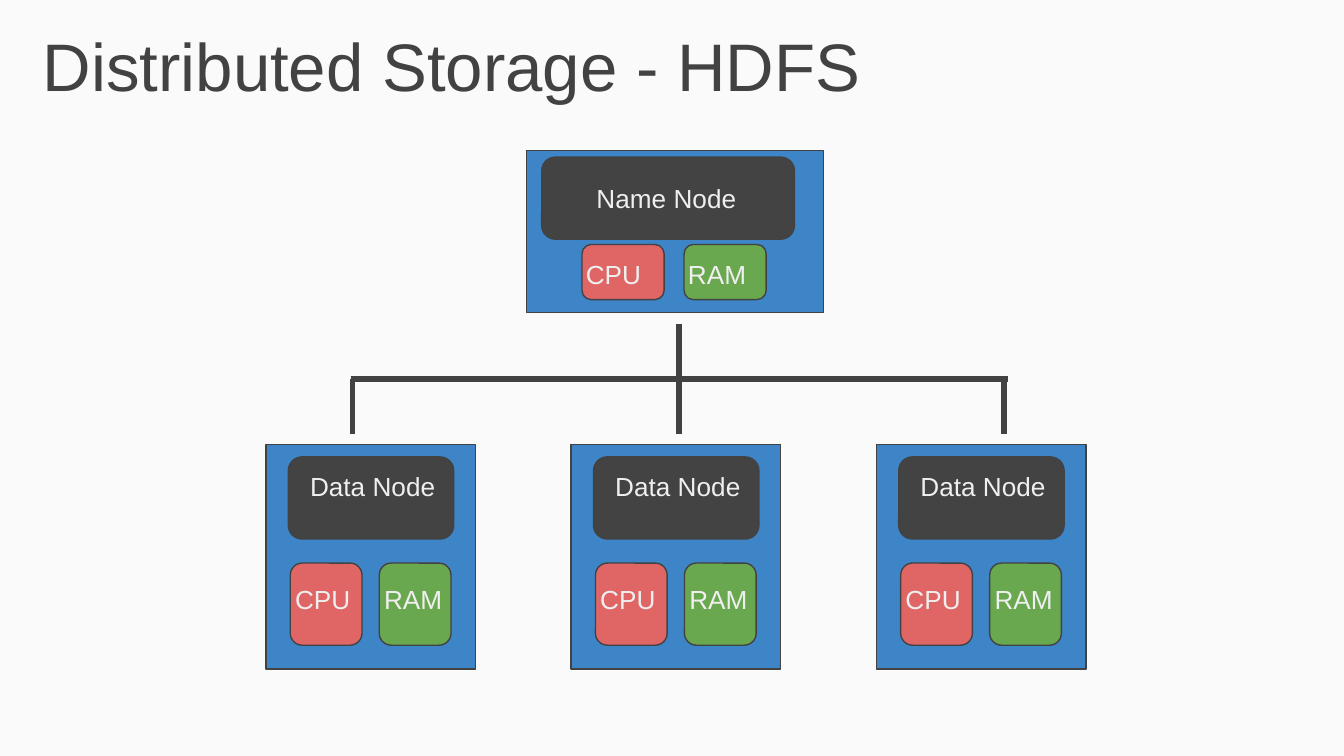
from pptx import Presentation
from pptx.dml.color import RGBColor
from pptx.enum.shapes import MSO_CONNECTOR, MSO_SHAPE
from pptx.oxml.ns import qn
from pptx.util import Pt
from lxml.etree import SubElement

PAPER = RGBColor(0xFA, 0xFA, 0xFA)
INK = RGBColor(0x42, 0x42, 0x42)
DARK = RGBColor(0x43, 0x43, 0x43)
PALE = RGBColor(0xEF, 0xEF, 0xEF)
BLUE = RGBColor(0x3D, 0x85, 0xC6)
RED = RGBColor(0xE0, 0x66, 0x66)
GREEN = RGBColor(0x6A, 0xA8, 0x4F)
RECT, ROUND = MSO_SHAPE.RECTANGLE, MSO_SHAPE.ROUNDED_RECTANGLE

deck = Presentation()
deck.slide_width, deck.slide_height = Pt(720), Pt(405)
slide = deck.slides.add_slide(deck.slide_layouts[6])
slide.background.fill.solid()
slide.background.fill.fore_color.rgb = PAPER
shapes = slide.shapes


def add_box(kind, x, y, w, h, color):
    box = shapes.add_shape(kind, Pt(x), Pt(y), Pt(w), Pt(h))
    box.shadow.inherit = False
    box.fill.solid()
    box.fill.fore_color.rgb = color
    box.line.color.rgb = INK
    box.line.width = Pt(0.75)


def add_text(text, x, y, w, h, size=14, color=PALE):
    frame = shapes.add_textbox(Pt(x), Pt(y), Pt(w), Pt(h)).text_frame
    frame.word_wrap = True
    frame.margin_left = frame.margin_right = Pt(7.2)
    frame.margin_top = frame.margin_bottom = Pt(7.2)
    para = frame.paragraphs[0]
    para.text = text
    para.font.name = "Arial"
    para.font.size = Pt(size)
    para.font.color.rgb = color


add_text("Distributed Storage - HDFS", 15.8, 5.8, 671, 47.5, 36, INK)

# Tree of lines: trunk, crossbar, then a drop to each data node
mid, low = 203, 232.5
lines = [(363.6, 173.5, 363.6, mid), (188, mid, 540, mid)]
lines += [(x, mid, x, low) for x in (188.8, 363.6, 538)]
for x1, y1, x2, y2 in lines:
    line = shapes.add_connector(MSO_CONNECTOR.STRAIGHT, Pt(x1), Pt(y1), Pt(x2), Pt(y2))
    line.line.color.rgb = INK
    line.line.width = Pt(3)
    SubElement(line._element.spPr, qn("a:effectLst"))

# Name node
add_box(RECT, 282.2, 80.6, 159, 87, BLUE)
add_box(ROUND, 290.2, 84.2, 135.4, 44, DARK)
add_text("Name Node", 312.5, 90.7, 119.5, 16.5)
for x, name, color in ((311.8, "CPU", RED), (366.5, "RAM", GREEN)):
    add_box(ROUND, x, 131, 44, 29.5, color)
    add_text(name, x - 5, 134, 54.7, 11.5)

# Data nodes
for i in range(3):
    left = 142.5 + 163.5 * i
    add_box(RECT, left, 238.3, 112.3, 120.2, BLUE)
    add_box(ROUND, left + 12, 244.8, 88.6, 44, DARK)
    add_text("Data Node", left + 16.5, 244.8, 109.4, 16.5)
    for gap, name, color in ((13, "CPU", RED), (60.7, "RAM", GREEN)):
        add_box(ROUND, left + gap, 301.7, 38.4, 44, color)
        add_text(name, left + gap - 4.5, 305.3, 47.5, 16.5)

deck.save("out.pptx")
